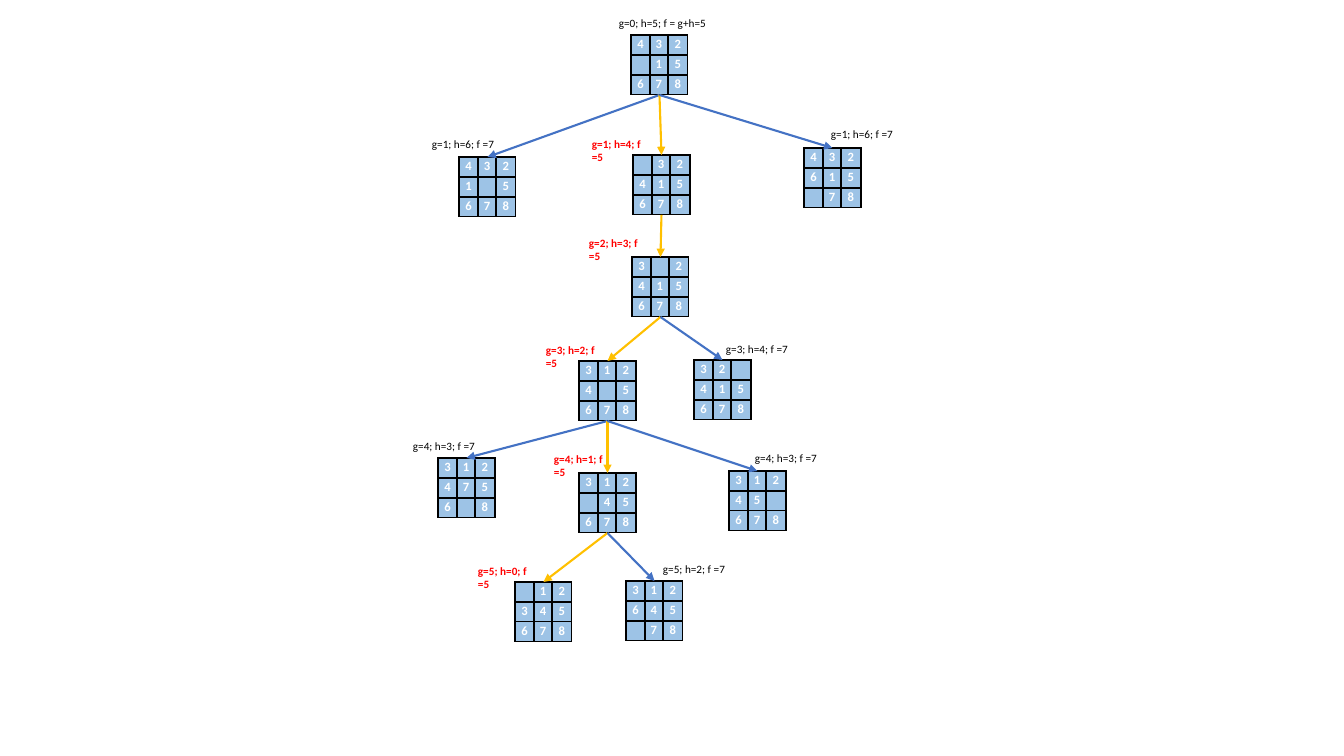
from lxml.etree import SubElement
from pptx import Presentation
from pptx.dml.color import RGBColor
from pptx.enum.shapes import MSO_CONNECTOR
from pptx.enum.text import MSO_AUTO_SIZE, PP_ALIGN
from pptx.oxml.ns import qn
from pptx.util import Emu, Pt

COLORS = {
    "tile": "9DC3E6", "digit": "FFFFFF", "border": "000000",
    "label": "000000", "best_label": "FF0000",
    "arrow": "4472C4", "best_arrow": "FFC000",
}
FONT = "Calibri"
SLIDE_SIZE = (1344, 756)
COLUMN_WIDTHS = (19, 18, 20)
ROW_HEIGHT = 20
BOARD_WIDTH, BOARD_HEIGHT = sum(COLUMN_WIDTHS), 3 * ROW_HEIGHT
ROOT_LABEL_WIDTH, LABEL_WIDTH, BEST_LABEL_WIDTH = 110, 83, 78
LABEL_HEIGHT, BEST_LABEL_HEIGHT = 24, 37

# name: parent, board position, board rows, label, label position, on best path
STATES = {
    "start": (None, (631, 35), "432 _15 678", "g=0; h=5; f = g+h=5", (609, 11), False),
    "1 left": ("start", (459, 157), "432 1_5 678", "g=1; h=6; f =7", (422, 132), False),
    "1 best": ("start", (633, 155), "_32 415 678", "g=1; h=4; f =5", (582, 132), True),
    "1 right": ("start", (804, 148), "432 615 _78", "g=1; h=6; f =7", (821, 122), False),
    "2 best": ("1 best", (632, 257), "3_2 415 678", "g=2; h=3; f =5", (579, 231), True),
    "3 best": ("2 best", (579, 361), "312 4_5 678", "g=3; h=2; f =5", (536, 338), True),
    "3 right": ("2 best", (694, 360), "32_ 415 678", "g=3; h=4; f =7", (716, 337), False),
    "4 left": ("3 best", (438, 458), "312 475 6_8", "g=4; h=3; f =7", (403, 434), False),
    "4 best": ("3 best", (579, 473), "312 _45 678", "g=4; h=1; f =5", (544, 447), True),
    "4 right": ("3 best", (729, 471), "312 45_ 678", "g=4; h=3; f =7", (745, 446), False),
    "5 best": ("4 best", (515, 582), "_12 345 678", "g=5; h=0; f =5", (468, 559), True),
    "5 right": ("4 best", (626, 581), "312 645 _78", "g=5; h=2; f =7", (653, 557), False),
}


def px(value):
    return Emu(round(value * 914400 / 100.8))


def rgb(name):
    return RGBColor.from_string(COLORS[name])


def style_run(run, size, color, bold):
    run.font.name, run.font.size, run.font.bold = FONT, Pt(size), bold
    run.font.color.rgb = rgb(color)


def add_borders(cell):
    properties = cell._tc.get_or_add_tcPr()
    for side in ("lnL", "lnR", "lnT", "lnB"):
        line = SubElement(properties, qn(f"a:{side}"), w=str(Pt(1)))
        fill = SubElement(line, qn("a:solidFill"))
        SubElement(fill, qn("a:srgbClr"), val=COLORS["border"])


def fill_cell(cell, digit):
    cell.margin_left = cell.margin_right = px(5)
    cell.margin_top = cell.margin_bottom = px(2)
    add_borders(cell)
    cell.fill.solid()
    cell.fill.fore_color.rgb = rgb("tile")
    paragraph = cell.text_frame.paragraphs[0]
    paragraph.alignment = PP_ALIGN.CENTER
    if digit == "_":
        SubElement(paragraph._p, qn("a:endParaRPr"), sz="900")
    else:
        paragraph.text = digit
        style_run(paragraph.runs[0], 9, "digit", True)


def add_board(position, board):
    left, top = position
    table = slide.shapes.add_table(
        3, 3, px(left), px(top), px(BOARD_WIDTH), px(BOARD_HEIGHT)).table
    table.first_row = table.horz_banding = False
    for column, width in zip(table.columns, COLUMN_WIDTHS):
        column.width = px(width)
    for row, digits in zip(table.rows, board.split()):
        row.height = px(ROW_HEIGHT)
        for cell, digit in zip(row.cells, digits):
            fill_cell(cell, digit)


def add_label(text, position, width, height, best):
    left, top = position
    box = slide.shapes.add_textbox(px(left), px(top), px(width), px(height))
    text_frame = box.text_frame
    text_frame.word_wrap = True
    text_frame.auto_size = MSO_AUTO_SIZE.SHAPE_TO_FIT_TEXT
    text_frame.text = text
    style_run(text_frame.paragraphs[0].runs[0], 8, "best_label" if best else "label", best)


def add_arrow(parent_position, child_position, best):
    center = BOARD_WIDTH / 2
    (start_left, start_top), (end_left, end_top) = parent_position, child_position
    arrow = slide.shapes.add_connector(
        MSO_CONNECTOR.STRAIGHT,
        px(start_left + center), px(start_top + BOARD_HEIGHT),
        px(end_left + center), px(end_top))
    arrow.line.color.rgb = rgb("best_arrow" if best else "arrow")
    arrow.line.width = Pt(1.5)
    SubElement(arrow.line._get_or_add_ln(), qn("a:tailEnd"), type="triangle")
    SubElement(arrow._element.spPr, qn("a:effectLst"))


presentation = Presentation()
presentation.slide_width, presentation.slide_height = map(px, SLIDE_SIZE)
slide = presentation.slides.add_slide(presentation.slide_layouts[6])

for parent, position, board, label, label_position, best in STATES.values():
    add_board(position, board)
    if best:
        add_label(label, label_position, BEST_LABEL_WIDTH, BEST_LABEL_HEIGHT, best)
    else:
        width = LABEL_WIDTH if parent else ROOT_LABEL_WIDTH
        add_label(label, label_position, width, LABEL_HEIGHT, best)
    if parent:
        add_arrow(STATES[parent][1], position, best)

presentation.save("out.pptx")
